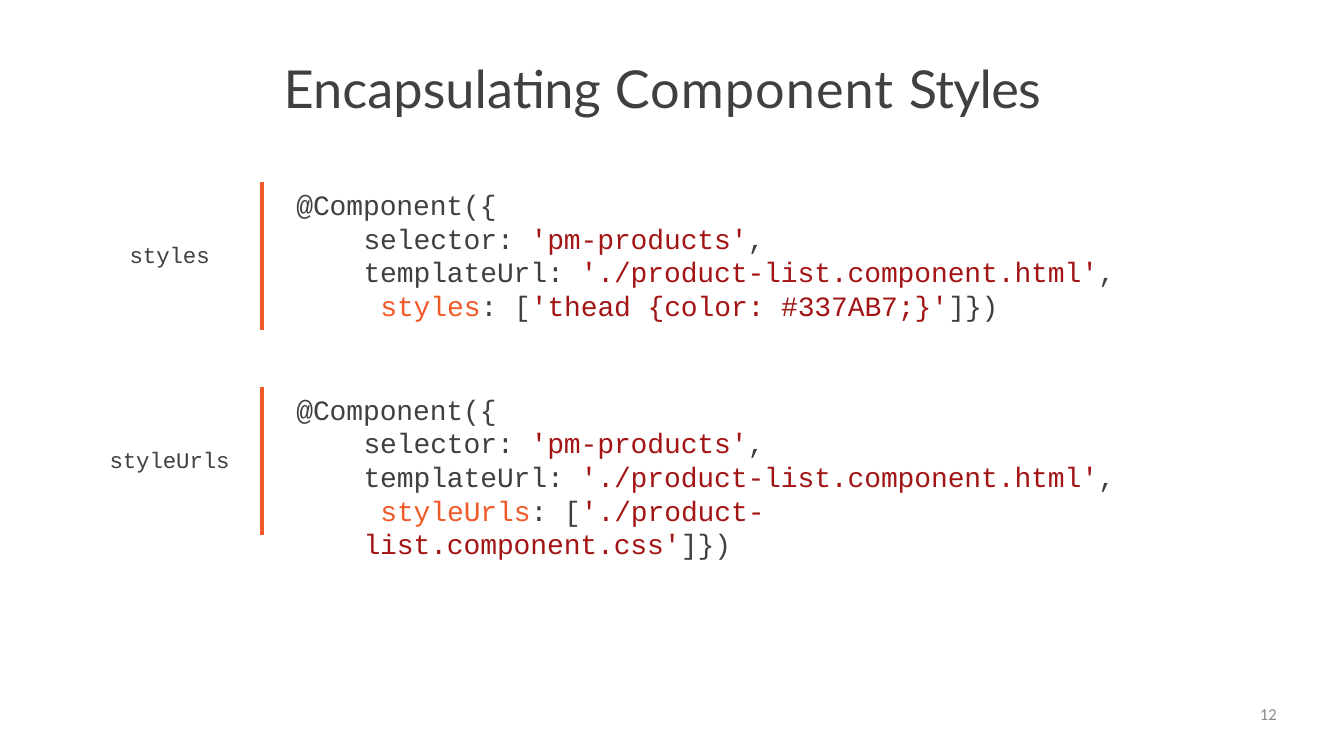
from dataclasses import dataclass

import pptx
import pptx.dml.color
import pptx.enum.shapes
import pptx.enum.text
import pptx.oxml.ns
import pptx.util
from lxml import etree

Inches = pptx.util.Inches
Pt = pptx.util.Pt
Align = pptx.enum.text.PP_ALIGN

GRAY = "404040"
ORANGE = "F05A28"
RED = "A31515"
PALE_GRAY = "8C8C8C"
CODE_FONT = "Courier New"
CODE_INDENT = 1.01


@dataclass(frozen=True)
class Span:
    text: str
    color: str = GRAY
    spacing: float = -0.1


@dataclass(frozen=True)
class Line:
    spans: list[Span]
    indent: float = 0.01
    before: float = 0


@dataclass(frozen=True)
class Example:
    name: str
    value: str
    label_left: float
    label_width: float


def rgb(color: str) -> pptx.dml.color.RGBColor:
    return pptx.dml.color.RGBColor.from_string(color)


def add_text(page, lines: list[Line], *, left: float, top: float, width: float,
             height: float, font: str, size: float, align=Align.LEFT) -> None:
    box = page.shapes.add_textbox(Inches(left), Inches(top), Inches(width), Inches(height))
    frame = box.text_frame
    frame.word_wrap = True
    frame.margin_left = frame.margin_right = frame.margin_bottom = 0
    frame.margin_top = Inches(0.01)
    for index, line in enumerate(lines):
        para = frame.paragraphs[0] if index == 0 else frame.add_paragraph()
        para.alignment = align
        para.space_before = Pt(line.before)
        para._p.get_or_add_pPr().set("marL", str(Inches(line.indent)))
        for span in line.spans:
            if span.text == "\n":
                para.add_line_break()
                continue
            run = para.add_run()
            run.text = span.text
            run.font.name = font
            run.font.size = Pt(size)
            run.font.color.rgb = rgb(span.color)
            run._r.get_or_add_rPr().set("spc", str(round(span.spacing * 100)))


def add_bar(page, left: float, top: float, height: float) -> None:
    bar = page.shapes.add_connector(
        pptx.enum.shapes.MSO_CONNECTOR.STRAIGHT,
        Inches(left), Inches(top), Inches(left), Inches(top + height))
    bar.line.color.rgb = rgb(ORANGE)
    bar.line.width = Pt(4)
    etree.SubElement(bar._element.spPr, pptx.oxml.ns.qn("a:effectLst"))


def code_lines(example: Example) -> list[Line]:
    return [
        Line([Span("@Component({")], before=1),
        Line([Span("selector: "), Span("'pm-products'", RED), Span(",")], CODE_INDENT),
        Line([
            Span("templateUrl: "), Span("'./product-list.component.html'", RED), Span(","),
            Span("\n"), Span(" "), Span(example.name, ORANGE), Span(": ["),
            Span(example.value, RED), Span("]})"),
        ], CODE_INDENT),
    ]


def add_example(page, example: Example, top: float) -> None:
    add_bar(page, 3.9, top, 2.2)
    add_text(page, [Line([Span(example.name)], before=1)],
             left=example.label_left, top=top + 0.87, width=example.label_width,
             height=0.43, font=CODE_FONT, size=24)
    add_text(page, code_lines(example), left=4.4, top=top + 0.07, width=12.28,
             height=2.03, font=CODE_FONT, size=30)


def main() -> None:
    deck = pptx.Presentation()
    deck.slide_width = Inches(20)
    deck.slide_height = Inches(11.25)
    page = deck.slides.add_slide(deck.slide_layouts[6])

    title = [Span("Encapsulating ", spacing=0.1), Span("Component ", spacing=1.1),
             Span("Styles", spacing=-0.8)]
    add_text(page, [Line(title, before=1)], left=4.21, top=0.82, width=11.57,
             height=0.96, font="Lato", size=56)

    examples = [
        Example("styles", "'thead {color: #337AB7;}'", 1.92, 1.23),
        Example("styleUrls", "'./product-list.component.css'", 1.62, 1.82),
    ]
    for index, example in enumerate(examples):
        add_example(page, example, 2.71 + index * 3.05)

    add_text(page, [Line([Span("12", PALE_GRAY, 0)], indent=0)], left=14.4, top=10.46,
             width=4.6, height=0.56, font="Calibri", size=18, align=Align.RIGHT)
    deck.save("out.pptx")


if __name__ == "__main__":
    main()
